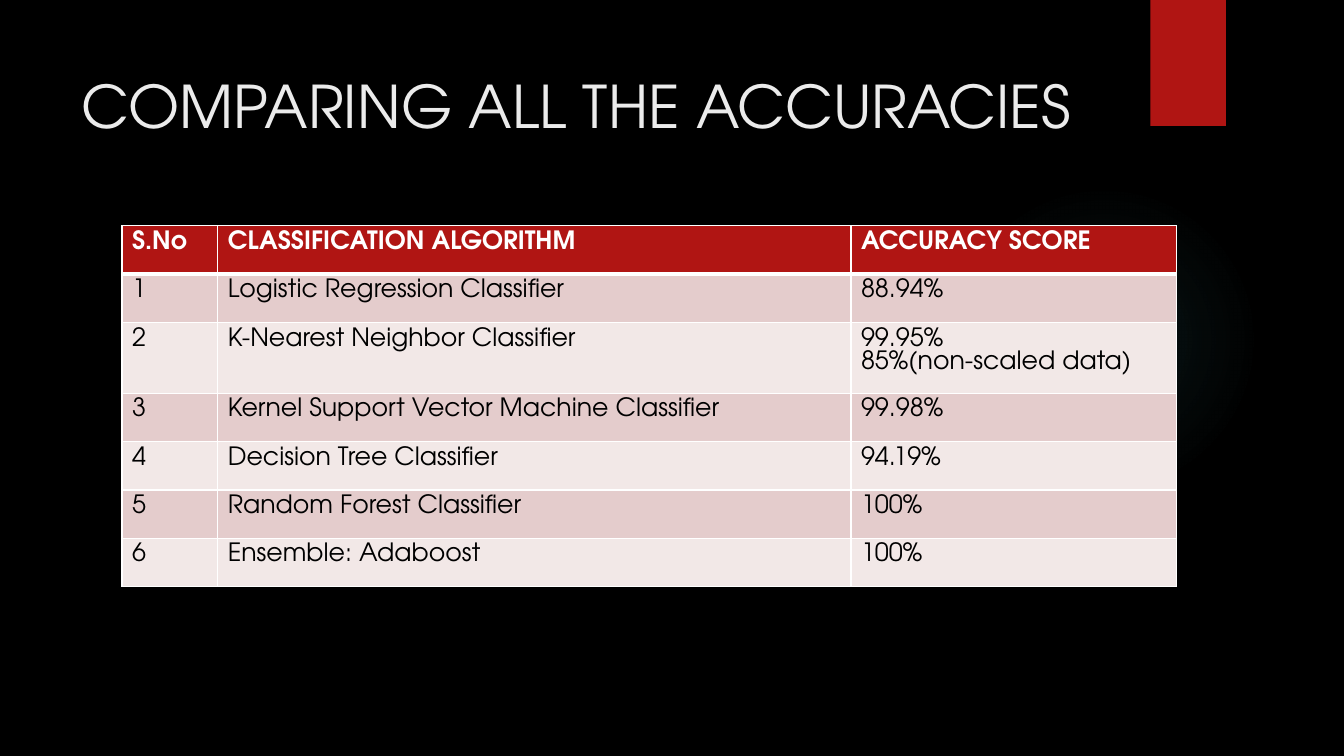
from dataclasses import dataclass

from lxml.etree import SubElement
from pptx import Presentation
from pptx.dml.color import RGBColor
from pptx.enum.shapes import MSO_SHAPE
from pptx.enum.text import MSO_ANCHOR
from pptx.oxml import parse_xml
from pptx.oxml.ns import nsdecls, qn
from pptx.util import Inches, Pt


@dataclass(frozen=True)
class Theme:
    font: str = "TeX Gyre Adventor"
    background: str = "000000"
    accent: str = "B01513"
    glow: str = "50B9C1"
    title: str = "EBEBEB"
    header_text: str = "FFFFFF"
    body_text: str = "000000"
    border: str = "FFFFFF"
    bands: tuple = ("E4CCCC", "F2E8E7")
    title_size: int = 42
    table_size: int = 18


THEME = Theme()
COLUMN_WIDTHS = (0.95, 6.28, 3.23)
ROW_HEIGHT = 0.48
HEADER = ("S.No", "CLASSIFICATION ALGORITHM", "ACCURACY SCORE")
SCORES = (
    ("Logistic Regression Classifier", "88.94%"),
    ("K-Nearest Neighbor Classifier", "99.95%\n85%(non-scaled data)"),
    ("Kernel Support Vector Machine Classifier", "99.98%"),
    ("Decision Tree Classifier", "94.19%"),
    ("Random Forest Classifier", "100%"),
    ("Ensemble: Adaboost", "100%"),
)


def write_text(text_frame, text, *, size, color, bold=False):
    text_frame.text = text
    for paragraph in text_frame.paragraphs:
        for run in paragraph.runs:
            run.font.name = THEME.font
            run.font.size = Pt(size)
            run.font.bold = bold
            run.font.color.rgb = RGBColor.from_string(color)


def add_filled_shape(slide, kind, left, top, width, height, color):
    shape = slide.shapes.add_shape(
        kind, Inches(left), Inches(top), Inches(width), Inches(height)
    )
    shape.shadow.inherit = False
    shape.fill.solid()
    shape.fill.fore_color.rgb = RGBColor.from_string(color)
    shape.line.fill.background()
    return shape


def add_glow(slide):
    """Add a faint circle that fades out from its centre."""
    glow = add_filled_shape(slide, MSO_SHAPE.OVAL, 9.41, 1.83, 3.08, 3.08, THEME.glow)
    stops = "".join(
        f'<a:gs pos="{position * 1000}"><a:srgbClr val="{THEME.glow}">'
        f'<a:alpha val="{opacity * 1000}"/></a:srgbClr></a:gs>'
        for position, opacity in ((0, 7), (36, 6), (69, 0))
    )
    gradient = parse_xml(
        f'<a:gradFill {nsdecls("a")}><a:gsLst>{stops}</a:gsLst><a:path path="circle">'
        '<a:fillToRect l="50000" t="50000" r="50000" b="50000"/></a:path></a:gradFill>'
    )
    properties = glow.element.spPr
    properties.replace(properties.find(qn("a:solidFill")), gradient)


def add_title(slide, text):
    box = slide.shapes.add_textbox(Inches(0.71), Inches(0.5), Inches(10.29), Inches(1.53))
    frame = box.text_frame
    frame.word_wrap = True
    frame.vertical_anchor = MSO_ANCHOR.TOP
    frame.margin_top = Inches(0.19)
    write_text(frame, text, size=THEME.title_size, color=THEME.title)


def set_borders(cell, **widths):
    """Draw the cell's lines, in points, keyed by L, R, T and B."""
    properties = cell._tc.get_or_add_tcPr()
    for index, (side, width) in enumerate(widths.items()):
        line = parse_xml(f'<a:ln{side} {nsdecls("a")} w="{Pt(width)}"/>')
        fill = SubElement(line, qn("a:solidFill"))
        SubElement(fill, qn("a:srgbClr"), val=THEME.border)
        properties.insert(index, line)


def add_score_table(slide):
    rows = [HEADER]
    rows += [(str(number), *score) for number, score in enumerate(SCORES, 1)]
    frame = slide.shapes.add_table(
        len(rows), len(HEADER), Inches(1.21), Inches(2.24),
        Inches(sum(COLUMN_WIDTHS)), Inches(ROW_HEIGHT * len(rows)),
    )
    table = frame.table
    for column, width in zip(table.columns, COLUMN_WIDTHS):
        column.width = Inches(width)
    for row_index, values in enumerate(rows):
        table.rows[row_index].height = Inches(ROW_HEIGHT)
        is_header = row_index == 0
        fill = THEME.accent if is_header else THEME.bands[(row_index - 1) % 2]
        color = THEME.header_text if is_header else THEME.body_text
        for column_index, text in enumerate(values):
            cell = table.cell(row_index, column_index)
            cell.fill.solid()
            cell.fill.fore_color.rgb = RGBColor.from_string(fill)
            write_text(cell.text_frame, text, size=THEME.table_size, color=color, bold=is_header)
            set_borders(
                cell, L=1, R=1, T=3 if row_index == 1 else 1, B=3 if is_header else 1
            )


def main():
    presentation = Presentation()
    presentation.slide_width = Inches(13.33)
    presentation.slide_height = Inches(7.5)
    slide = presentation.slides.add_slide(presentation.slide_layouts[6])
    slide.background.fill.solid()
    slide.background.fill.fore_color.rgb = RGBColor.from_string(THEME.background)
    add_glow(slide)
    add_filled_shape(slide, MSO_SHAPE.RECTANGLE, 11.41, 0, 0.75, 1.25, THEME.accent)
    add_title(slide, "COMPARING ALL THE ACCURACIES")
    add_score_table(slide)
    presentation.save("out.pptx")


if __name__ == "__main__":
    main()
